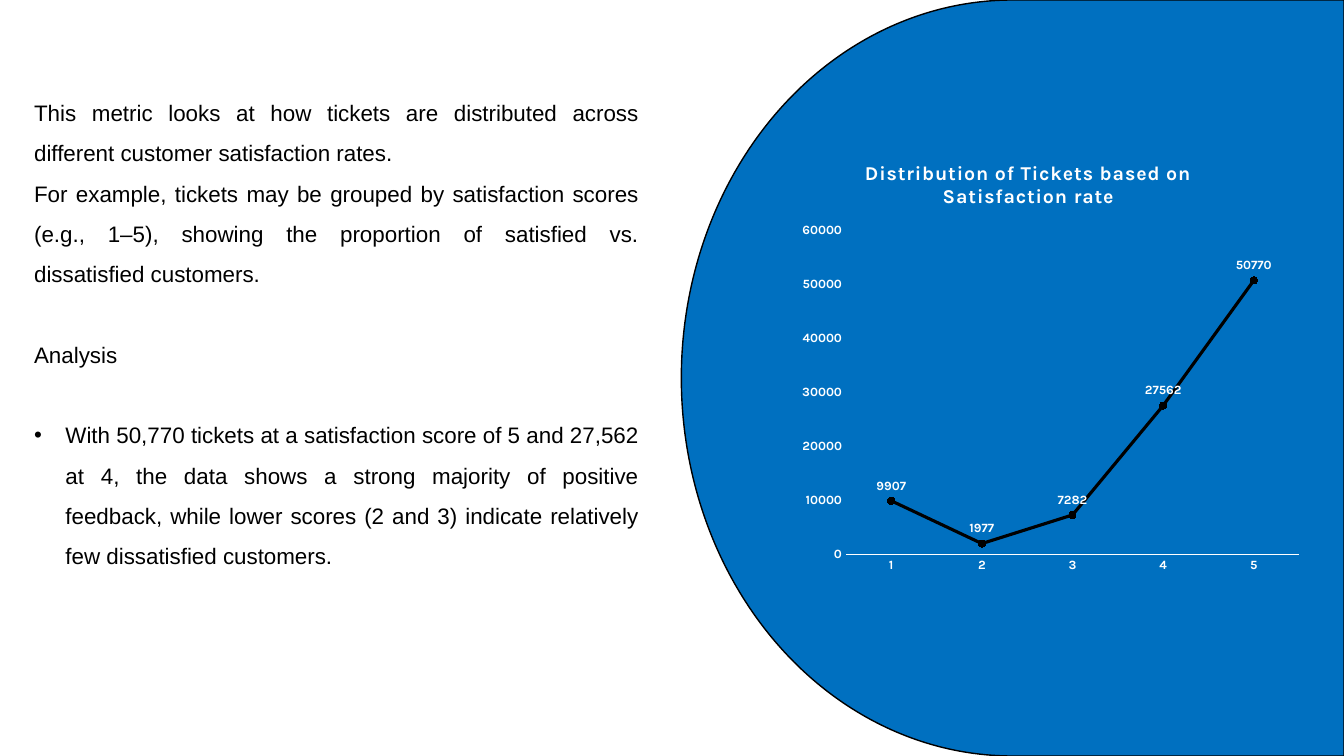
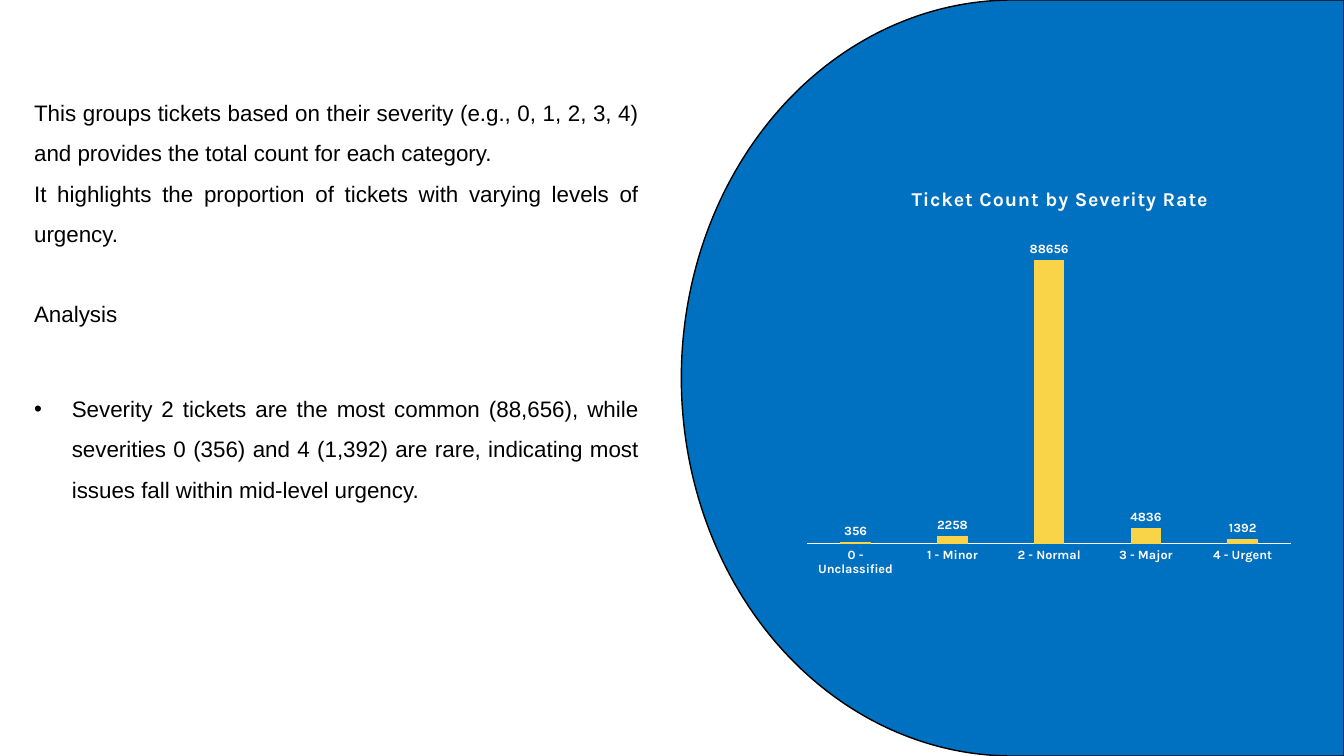
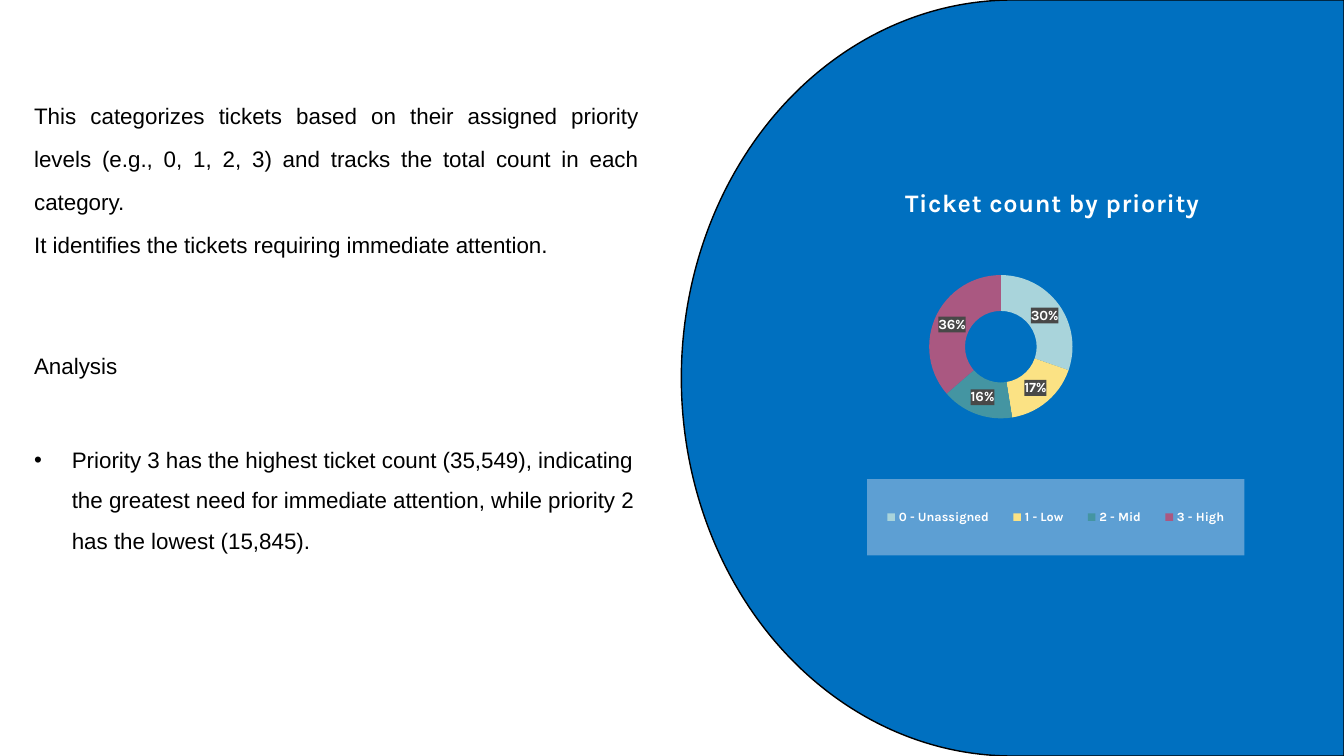
import pptx
import pptx.util
import pptx.chart.data
import pptx.dml.color
import pptx.enum.chart
import pptx.enum.shapes
import pptx.enum.text
import pptx.oxml
import pptx.oxml.ns

Cm, Pt = pptx.util.Cm, pptx.util.Pt
RGB = pptx.dml.color.RGBColor
KIND = pptx.enum.chart.XL_CHART_TYPE
SPOT = pptx.enum.chart.XL_LABEL_POSITION
ALIGN = pptx.enum.text.PP_ALIGN
qn = pptx.oxml.ns.qn

BLUE = RGB(0x00, 0x70, 0xC0)
PALE = RGB(0x5D, 0x9F, 0xD3)
WHITE = RGB(0xFF, 0xFF, 0xFF)
BLACK = RGB(0x00, 0x00, 0x00)
GREY = RGB(0x48, 0x48, 0x48)
GOLD = RGB(0xF9, 0xD4, 0x48)
RING = [RGB(0xA9, 0xD4, 0xDB), RGB(0xFB, 0xE2, 0x84),
        RGB(0x44, 0x95, 0xA2), RGB(0xAA, 0x58, 0x81)]
LINE = 28.8  # height of one line of body text, in points


def write(para, text, size=16, face="Arial", color=BLACK, bold=False, track=0):
    """Add a formatted run to a paragraph."""
    run = para.add_run()
    run.text = text
    style(run.font, size, face, color, bold)
    if track:
        run.font._element.set("spc", str(track))


def style(font, size, face="Karla", color=WHITE, bold=True):
    font.size, font.name, font.bold = Pt(size), face, bold
    font.color.rgb = color


def build(tag, inner):
    """Make a chart element from its inner XML."""
    spaces = pptx.oxml.ns.nsdecls("c", "a")
    return pptx.oxml.parse_xml(f"<c:{tag} {spaces}>{inner}</c:{tag}>")


def paint(color):
    return build("spPr", f'<a:solidFill><a:srgbClr val="{color}"/></a:solidFill>'
                         "<a:ln><a:noFill/></a:ln>")


def place(x, y, w=None, h=None, inner=False):
    """Make a layout in fractions of the chart."""
    sizes = [("w", w), ("h", h)] if w else []
    body = '<c:layoutTarget val="inner"/>' if inner else ""
    body += '<c:xMode val="edge"/><c:yMode val="edge"/>'
    for key, part in [("x", x), ("y", y)] + sizes:
        body += f'<c:{key} val="{part}"/>'
    return build("layout", f"<c:manualLayout>{body}</c:manualLayout>")


def settle(owner, layout, after=None):
    """Put a layout into its owner in place of any other."""
    for old in owner.findall(qn("c:layout")):
        owner.remove(old)
    if after is None:
        owner.insert(0, layout)
    else:
        owner.find(qn(after)).addnext(layout)


class Deck:
    def __init__(self):
        self.show = pptx.Presentation()
        self.show.slide_width, self.show.slide_height = Cm(33.87), Cm(19.05)
        self.slide = None

    def page(self):
        """Start a slide with the round blue panel."""
        self.slide = self.show.slides.add_slide(self.show.slide_layouts[1])
        title = self.slide.shapes.title._element
        title.getparent().remove(title)
        panel = self.slide.shapes.add_shape(
            pptx.enum.shapes.MSO_SHAPE.FLOWCHART_DELAY,
            Cm(17.17), Cm(0), Cm(16.7), Cm(19.05))
        panel.rotation = 180
        panel.shadow.inherit = False
        panel.fill.solid()
        panel.fill.fore_color.rgb = BLUE
        panel.line.color.rgb, panel.line.width = BLACK, Pt(1)

    def body(self, intro, point, pitch=1.5, gap=LINE, lead=LINE + 10,
             dent=0.95, align=ALIGN.JUSTIFY):
        """Fill the body with an intro, a heading and one bullet."""
        box = self.slide.placeholders[1]
        box.left, box.top, box.width, box.height = Cm(0.86), Cm(2.16), Cm(15.24), Cm(15.93)
        frame = box.text_frame
        frame.margin_left = frame.margin_right = 0
        frame.margin_top = frame.margin_bottom = 0
        frame.auto_size = pptx.enum.text.MSO_AUTO_SIZE.NONE
        just = ALIGN.JUSTIFY
        rows = [(text, pitch, 0, 0, just) for text in intro]
        rows += [("Analysis", 1.5, gap, 0, just), (point, 1.5, lead, dent, align)]
        for i, (text, ratio, before, inset, side) in enumerate(rows):
            para = frame.paragraphs[0] if i == 0 else frame.add_paragraph()
            para.line_spacing, para.space_before = ratio, Pt(before)
            para.alignment = side
            props = para._p.get_or_add_pPr()
            props.set("marL", str(Cm(inset)))
            props.set("indent", str(-Cm(inset)))
            mark = pptx.oxml.ns.nsdecls("a")
            mark = f'<a:buChar {mark} char="•"/>' if inset else f"<a:buNone {mark}/>"
            props.append(pptx.oxml.parse_xml(mark))
            write(para, text)

    def chart(self, kind, cats, vals, at, title, spot, plot, size=14):
        """Add a chart with its title, fill and plot area."""
        data = pptx.chart.data.CategoryChartData(number_format="0")
        data.categories = cats
        data.add_series("Series 1", vals)
        chart = self.slide.shapes.add_chart(kind, *map(Cm, at), data).chart
        style(chart.font, 10)
        chart.has_legend = False
        para = chart.chart_title.text_frame.paragraphs[0]
        write(para, title, size, "Karla", WHITE, True, track=50)
        root = chart._chartSpace.find(qn("c:chart"))
        root.addnext(paint(BLUE))
        settle(root.find(qn("c:title")), place(*spot), "c:tx")
        settle(root.find(qn("c:plotArea")), place(*plot, inner=True))
        chart.plots[0].vary_by_categories = False
        return chart

    def label(self, chart, pos=None, size=9):
        """Show labels on the only series."""
        tags = chart.plots[0].series[0].data_labels
        style(tags.font, size)
        if pos is None:
            tags.show_percentage, tags.show_value = True, False
        else:
            tags.show_value, tags.position = True, pos
        return tags

    def axes(self, chart, top):
        """Keep a thin base line and no grid."""
        none = pptx.enum.chart.XL_TICK_MARK.NONE
        for axis in (chart.category_axis, chart.value_axis):
            axis.major_tick_mark = axis.minor_tick_mark = none
            axis.has_major_gridlines = False
            style(axis.tick_labels.font, 9)
        base = chart.category_axis.format.line
        base.color.rgb, base.width = WHITE, Pt(0.75)
        chart.value_axis.format.line.fill.background()
        chart.value_axis.minimum_scale, chart.value_axis.maximum_scale = 0, top


def rate(deck):
    deck.page()
    deck.body(
        ["This metric looks at how tickets are distributed across different "
         "customer satisfaction rates.",
         "For example, tickets may be grouped by satisfaction scores (e.g., 1–5), "
         "showing the proportion of satisfied vs. dissatisfied customers."],
        "With 50,770 tickets at a satisfaction score of 5 and 27,562 at 4, the data "
        "shows a strong majority of positive feedback, while lower scores (2 and 3) "
        "indicate relatively few dissatisfied customers.",
        lead=LINE, dent=0.79)
    chart = deck.chart(
        KIND.LINE_MARKERS, ["1", "2", "3", "4", "5"], [9907, 1977, 7282, 27562, 50770],
        (20.02, 3.61, 12.98, 11.02), "Distribution of Tickets based on Satisfaction rate",
        (0.13, 0.03), (0.1, 0.2, 0.88, 0.74))
    deck.axes(chart, 60000)
    deck.label(chart, SPOT.ABOVE)
    line = chart.plots[0].series[0]
    line.smooth = False
    line.format.line.color.rgb, line.format.line.width = BLACK, Pt(2.25)
    dot = line.marker
    dot.style, dot.size = pptx.enum.chart.XL_MARKER_STYLE.CIRCLE, 5
    dot.format.fill.solid()
    dot.format.fill.fore_color.rgb = dot.format.line.color.rgb = BLACK


def level(deck):
    deck.page()
    deck.body(
        ["This groups tickets based on their severity (e.g., 0, 1, 2, 3, 4) and "
         "provides the total count for each category.",
         "It highlights the proportion of tickets with varying levels of urgency."],
        "Severity 2 tickets are the most common (88,656), while severities 0 (356) "
        "and 4 (1,392) are rare, indicating most issues fall within mid-level urgency.")
    chart = deck.chart(
        KIND.COLUMN_CLUSTERED,
        ["0 - Unclassified", "1 - Minor", "2 - Normal", "3 - Major", "4 - Urgent"],
        [356, 2258, 88656, 4836, 1392], (20.09, 4.17, 12.7, 10.59),
        "Ticket Count by Severity Rate", (0.22, 0.04), (0.02, 0.14, 0.96, 0.76))
    deck.axes(chart, 100000)
    chart.value_axis.visible = False
    deck.label(chart, SPOT.OUTSIDE_END)
    plot = chart.plots[0]
    plot.gap_width, plot.overlap = 219, -27
    fill = plot.series[0].format.fill
    fill.solid()
    fill.fore_color.rgb = GOLD


def rank(deck):
    deck.page()
    deck.body(
        ["This categorizes tickets based on their assigned priority levels (e.g., "
         "0, 1, 2, 3) and tracks the total count in each category.",
         "It identifies the tickets requiring immediate attention."],
        "Priority 3 has the highest ticket count (35,549), indicating the greatest "
        "need for immediate attention, while priority 2 has the lowest (15,845).",
        pitch=1.6, gap=2 * LINE, align=ALIGN.LEFT)
    chart = deck.chart(
        KIND.DOUGHNUT, ["0 - Unassigned", "1 - Low", "2 - Mid", "3 - High"],
        [30, 17, 16, 36], (21.49, 4.29, 12.04, 10.11), "Ticket count by priority",
        (0.1, 0.03), (0.16, 0.19, 0.3, 0.5), size=18)
    chart.plots[0].vary_by_categories = True
    ring = chart.plots[0].series[0]
    for i, color in enumerate(RING):
        fill = ring.points[i].format.fill
        fill.solid()
        fill.fore_color.rgb = color
    tags = deck.label(chart, size=10)
    tags._element.find(qn("c:txPr")).addprevious(paint(GREY))
    # Legend on a pale band
    chart.has_legend = True
    key = chart.legend
    key.position = pptx.enum.chart.XL_LEGEND_POSITION.BOTTOM
    key.include_in_layout = False
    style(key.font, 9)
    settle(key._element, place(0.03, 0.77, 0.79, 0.19), "c:legendPos")
    key._element.find(qn("c:txPr")).addprevious(paint(PALE))


def main():
    deck = Deck()
    for make in (rate, level, rank):
        make(deck)
    deck.show.save("out.pptx")


if __name__ == "__main__":
    main()
